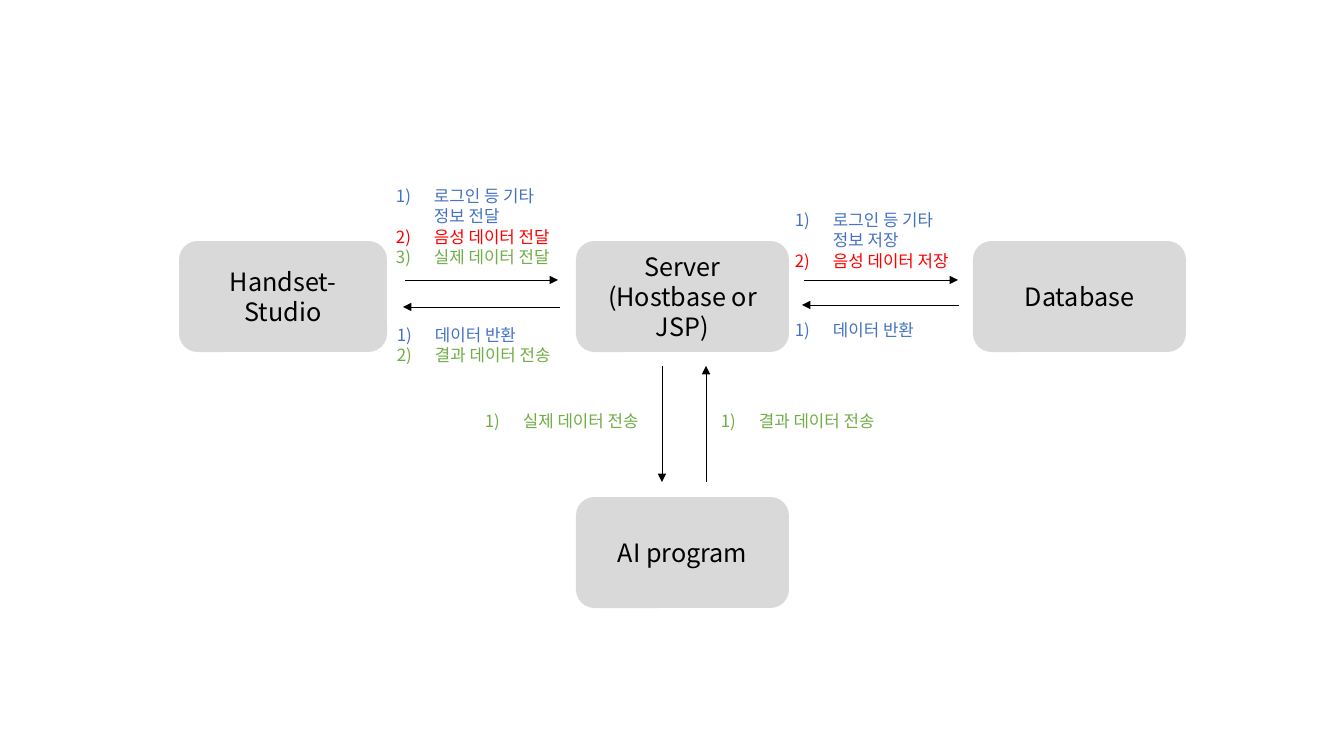
"""Build a slide showing the data flow between an app, a server, a database and an AI program."""
import pptx
import pptx.util
import pptx.dml.color
import pptx.enum.shapes
import pptx.enum.text
import pptx.oxml.ns
import lxml.etree

FONT = "Noto Sans CJK KR"
BLUE, RED, GREEN, BLACK, GREY = "4472C4", "FF0000", "70AD47", "000000", "D9D9D9"
PIXEL = 914400 / 100.8
qn = pptx.oxml.ns.qn


def px(*lengths):
    return [pptx.util.Emu(round(length * PIXEL)) for length in lengths]


def style(paragraph, size, color):
    paragraph.font.size = pptx.util.Pt(size)
    paragraph.font.color.rgb = pptx.dml.color.RGBColor.from_string(color)
    paragraph.font.name = FONT
    properties = paragraph._p.get_or_add_pPr()
    lxml.etree.SubElement(properties.find(qn("a:defRPr")), qn("a:ea"), typeface=FONT)
    return properties


deck = pptx.Presentation()
deck.slide_width, deck.slide_height = px(1344, 756)
slide = deck.slides.add_slide(deck.slide_layouts[6])

components = [
    (179, 241, 208, ["Handset-Studio"]),
    (576, 241, 213, ["Server", "(Hostbase or JSP)"]),
    (973, 241, 213, ["Database"]),
    (576, 497, 213, ["AI program"]),
]
for left, top, width, lines in components:
    component = slide.shapes.add_shape(
        pptx.enum.shapes.MSO_SHAPE.ROUNDED_RECTANGLE, *px(left, top, width, 111))
    component.shadow.inherit = False
    component.fill.solid()
    component.fill.fore_color.rgb = pptx.dml.color.RGBColor.from_string(GREY)
    component.line.fill.background()
    component.text_frame.text = "\n".join(lines)
    for paragraph in component.text_frame.paragraphs:
        paragraph.alignment = pptx.enum.text.PP_ALIGN.CENTER
        style(paragraph, 18, BLACK)

flows = [
    (405, 280, 558, 280),
    (560, 307, 403, 307),
    (804, 280, 958, 280),
    (959, 305, 802, 305),
    (662, 366, 662, 482),
    (706, 482, 706, 366),
]
for ends in flows:
    flow = slide.shapes.add_connector(pptx.enum.shapes.MSO_CONNECTOR.STRAIGHT, *px(*ends))
    flow.line.width = pptx.util.Pt(0.5)
    flow.line.color.rgb = pptx.dml.color.RGBColor.from_string(BLACK)
    lxml.etree.SubElement(flow.line._get_or_add_ln(), qn("a:tailEnd"), type="triangle")
    lxml.etree.SubElement(flow._element.spPr, qn("a:effectLst"))

messages = [
    (386, 181, 191, [("로그인 등 기타 정보 전달", BLUE), ("음성 데이터 전달", RED),
                     ("실제 데이터 전달", GREEN)]),
    (387, 320, 191, [("데이터 반환", BLUE), ("결과 데이터 전송", GREEN)]),
    (785, 205, 191, [("로그인 등 기타 정보 저장", BLUE), ("음성 데이터 저장", RED)]),
    (785, 315, 191, [("데이터 반환", BLUE)]),
    (475, 406, 193, [("실제 데이터 전송", GREEN)]),
    (711, 406, 193, [("결과 데이터 전송", GREEN)]),
]
indent, = px(38)
for left, top, width, items in messages:
    height = 10 + 20 * len(items) + (20 if len(items[0][0]) > 12 else 0)
    message = slide.shapes.add_textbox(*px(left, top, width, height)).text_frame
    message.word_wrap = True
    message.auto_size = pptx.enum.text.MSO_AUTO_SIZE.SHAPE_TO_FIT_TEXT
    message.text = "\n".join(text for text, color in items)
    for paragraph, (text, color) in zip(message.paragraphs, items):
        properties = style(paragraph, 12, color)
        properties.set("marL", str(indent))
        properties.set("indent", str(-indent))
        numbering = lxml.etree.Element(qn("a:buAutoNum"), type="arabicParenR")
        properties.insert(0, numbering)

deck.save("out.pptx")
